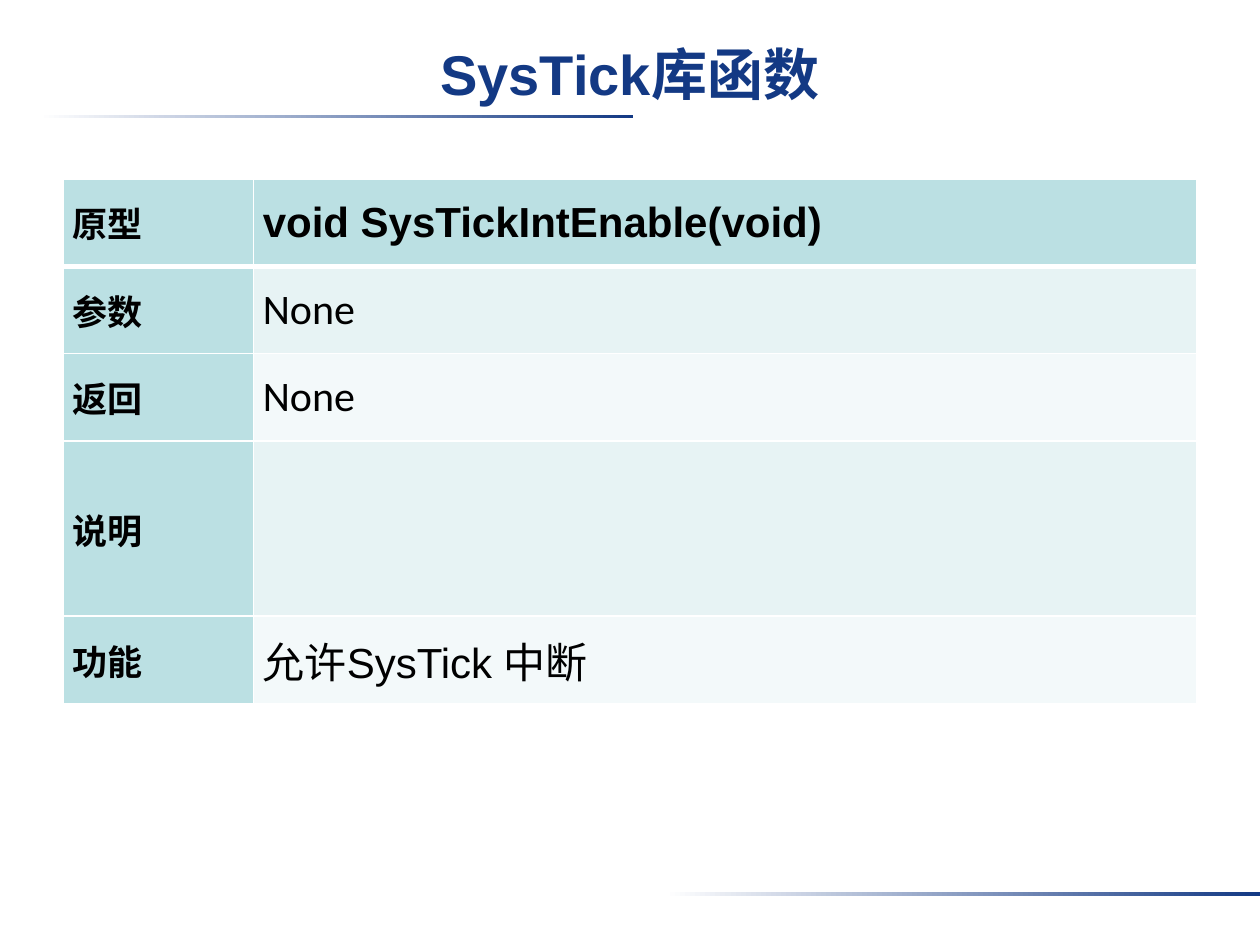
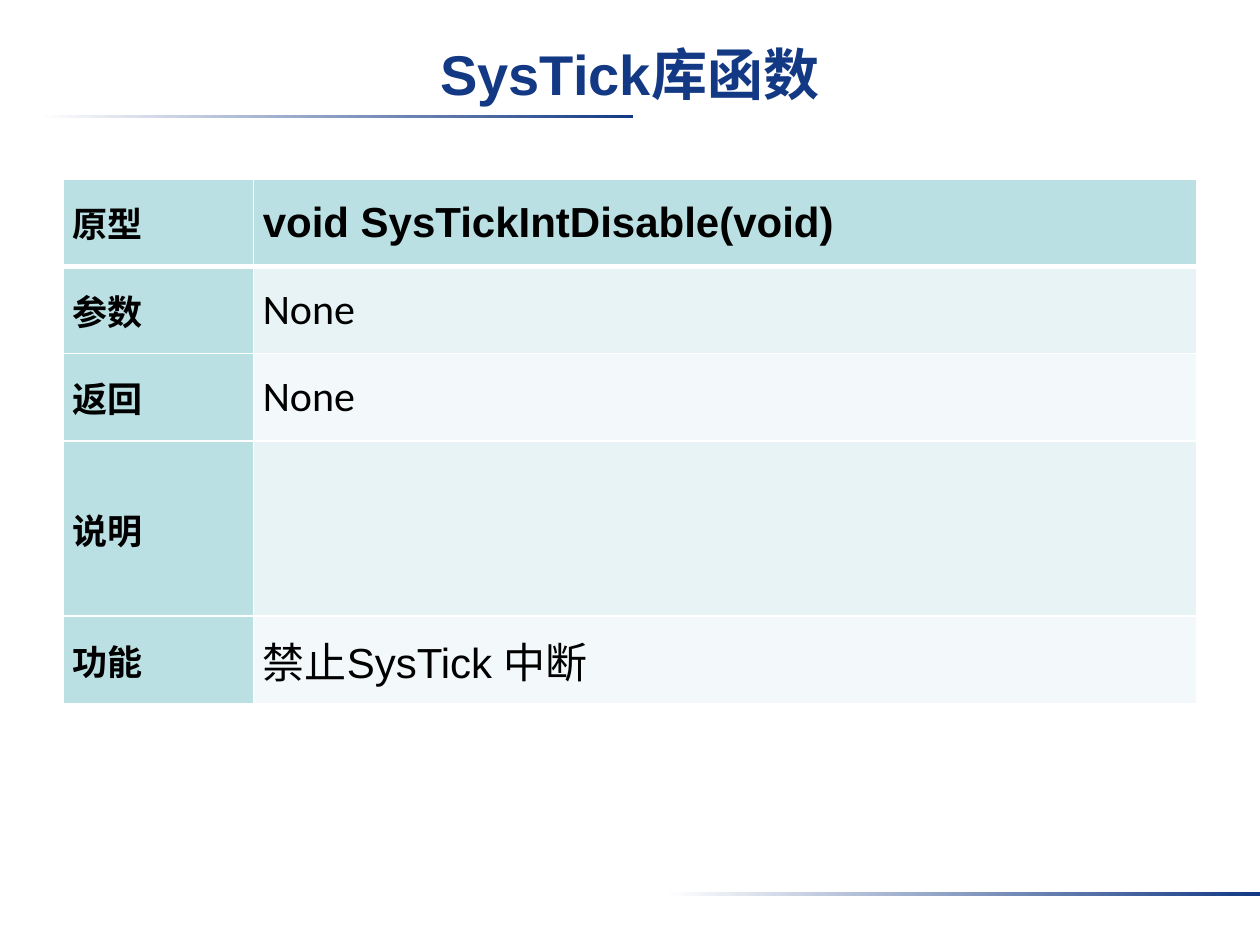
from lxml.etree import SubElement as Sub
from pptx import Presentation
from pptx.dml.color import RGBColor
from pptx.enum.shapes import MSO_SHAPE as Shape
from pptx.enum.text import MSO_ANCHOR as Anchor, PP_ALIGN as Align
from pptx.oxml.ns import qn
from pptx.util import Pt

TITLE = "SysTick库函数"
LABELS = ["原型", "参数", "返回", "说明", "功能"]
PAGES = [("void SysTickIntEnable(void)", "允许"),
         ("void SysTickIntDisable(void)", "禁止")]

NAVY, WHITE, BLACK = "133984", "FFFFFF", "000000"
HEAD, ODD, EVEN = "BBE0E3", "E7F3F4", "F3F9FA"
SANS, BODY = "Arial", "Calibri"
WIDE, HIGH = 720, 540
BANDS = [(22, 65.5), (380, 509.8)]
BAND = (340, 2.2)
COLS = [109, 539]
ROWS = [50, 50, 50, 100, 50]


def tint(code):
    return RGBColor.from_string(code)


def write(para, runs, color):
    for text, size, face, bold in runs:
        run = para.add_run()
        run.text = text
        font = run.font
        font.size, font.name, font.bold = Pt(size), face, bold
        font.color.rgb = tint(color)


def inset(box, left, top, right, bottom):
    box.margin_left, box.margin_top = Pt(left), Pt(top)
    box.margin_right, box.margin_bottom = Pt(right), Pt(bottom)


def frame(slide):
    for spot in BANDS:
        band = slide.shapes.add_shape(
            Shape.RECTANGLE, *map(Pt, spot + BAND))
        band.shadow.inherit = False
        band.line.fill.background()
        band.fill.gradient()
        band.fill.gradient_angle = 0
        for stop, code in zip(band.fill.gradient_stops, (WHITE, NAVY)):
            stop.color.rgb = tint(code)
            stop.position = 0 if code == WHITE else 1
    box = slide.shapes.add_textbox(Pt(0), Pt(14.4), Pt(WIDE), Pt(54))
    body = box.text_frame
    body.word_wrap = True
    body.vertical_anchor = Anchor.MIDDLE
    inset(body, 7.2, 4.3, 7.2, 3.6)
    para = body.paragraphs[0]
    para.alignment = Align.CENTER
    write(para, [(TITLE, 32, SANS, True)], NAVY)


def border(cell, row):
    props = cell._tc.get_or_add_tcPr()
    thick = {"T": 3 if row == 1 else 1, "B": 3 if row == 0 else 1}
    for side in "LRTB":
        line = Sub(props, qn("a:ln" + side), w=str(Pt(thick.get(side, 1))))
        fill = Sub(line, qn("a:solidFill"))
        Sub(fill, qn("a:srgbClr"), val=WHITE)


def grid(slide, call, verb):
    none = [("None", 24, BODY, False)]
    facts = [[(call, 24, SANS, True)], none, none, [],
             [(verb, 24, BODY, False), ("SysTick ", 24, SANS, False),
              ("中断", 24, BODY, False)]]
    table = slide.shapes.add_table(
        len(ROWS), len(COLS), Pt(36), Pt(102.2),
        Pt(sum(COLS)), Pt(sum(ROWS))).table
    table.first_row = table.horz_banding = False
    for col, size in zip(table.columns, COLS):
        col.width = Pt(size)
    for row, size in enumerate(ROWS):
        table.rows[row].height = Pt(size)
        label = [(LABELS[row], 20, SANS, True)]
        for col, runs in enumerate((label, facts[row])):
            cell = table.cell(row, col)
            border(cell, row)
            cell.fill.solid()
            shade = HEAD if row == 0 or col == 0 else (EVEN, ODD)[row % 2]
            cell.fill.fore_color.rgb = tint(shade)
            cell.vertical_anchor = Anchor.MIDDLE
            inset(cell, 5.2, 0, 5.2, 0)
            para = cell.text_frame.paragraphs[0]
            left = col == 1 and row < 2
            para.alignment = Align.LEFT if left else Align.JUSTIFY
            write(para, runs, BLACK)


deck = Presentation()
deck.slide_width, deck.slide_height = Pt(WIDE), Pt(HIGH)
for call, verb in PAGES:
    slide = deck.slides.add_slide(deck.slide_layouts[6])
    frame(slide)
    grid(slide, call, verb)
deck.save("out.pptx")
